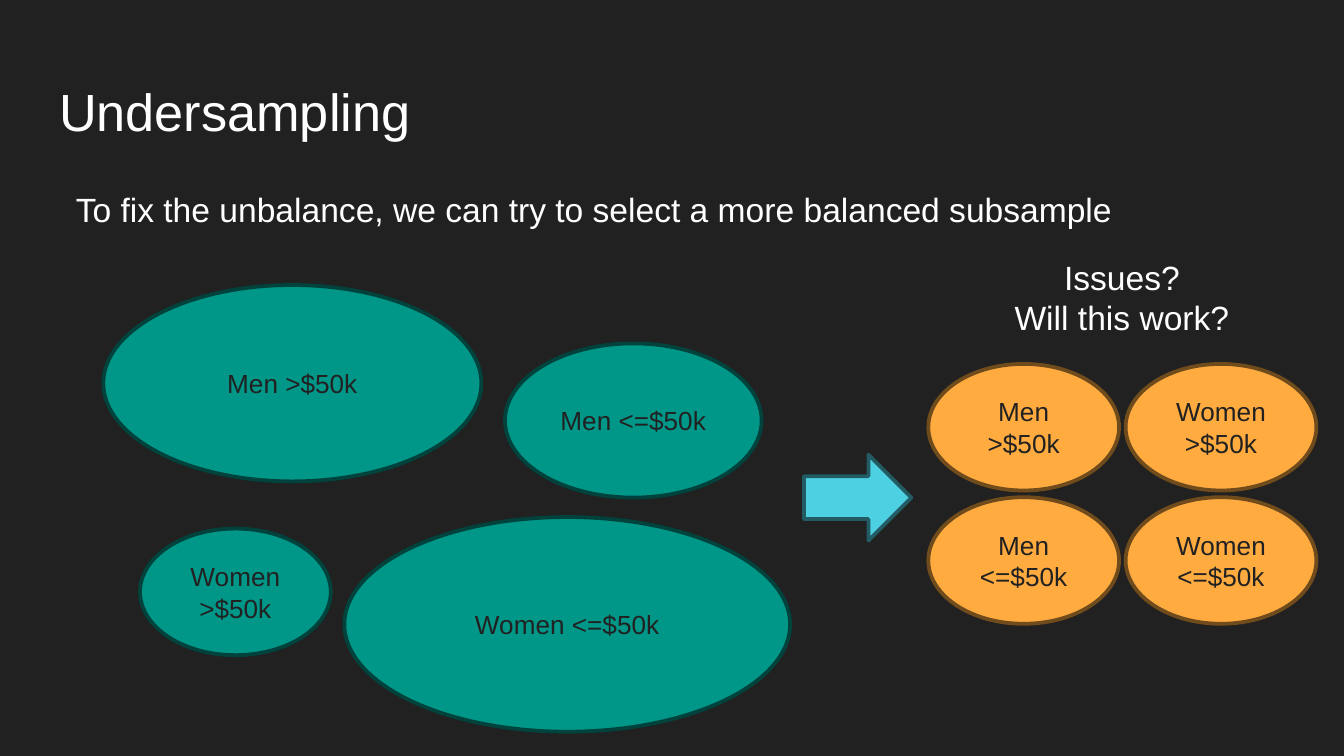
"""Build the Undersampling slide: four uneven groups reduced to a balanced subsample."""
from typing import NamedTuple

import pptx
import pptx.dml.color
import pptx.enum.shapes
import pptx.enum.text
import pptx.util

Pt = pptx.util.Pt
SHAPE = pptx.enum.shapes.MSO_SHAPE
ALIGN = pptx.enum.text.PP_ALIGN
ANCHOR = pptx.enum.text.MSO_ANCHOR

DARK, WHITE = "212121", "FFFFFF"
TEAL, TEAL_EDGE = "009688", "00423C"
ORANGE, ORANGE_EDGE = "FFAB40", "704B1C"
CYAN, CYAN_EDGE = "4DD0E1", "225B63"


class Box(NamedTuple):
    left: float
    top: float
    width: float
    height: float


class Group(NamedTuple):
    label: str
    box: Box
    fill: str
    edge: str


def rgb(color: str) -> pptx.dml.color.RGBColor:
    return pptx.dml.color.RGBColor.from_string(color)


def write(sp, text: str, *, size: float, color: str, align=ALIGN.LEFT, anchor=ANCHOR.TOP,
          inset: float = 3.6, indent: float = 0, spacing: float = 1.0) -> None:
    tf = sp.text_frame
    tf.word_wrap = True
    tf.auto_size = pptx.enum.text.MSO_AUTO_SIZE.NONE
    tf.vertical_anchor = anchor
    tf.margin_left = tf.margin_right = Pt(7.2)
    tf.margin_top = tf.margin_bottom = Pt(inset)
    tf.text = text
    for p in tf.paragraphs:
        p.alignment = align
        p.line_spacing = spacing
        if indent:
            p._p.get_or_add_pPr().set("marL", str(Pt(indent)))
        for r in p.runs:
            r.font.name = "Arial"
            r.font.size = Pt(size)
            r.font.color.rgb = rgb(color)


def add_text(s, box: Box, text: str, **fmt) -> None:
    write(s.shapes.add_textbox(*map(Pt, box)), text, **fmt)


def add_shape(s, kind, box: Box, fill: str, edge: str):
    sp = s.shapes.add_shape(kind, *map(Pt, box))
    sp.shadow.inherit = False
    sp.fill.solid()
    sp.fill.fore_color.rgb = rgb(fill)
    sp.line.color.rgb = rgb(edge)
    sp.line.width = Pt(2)
    return sp


def add_group(s, group: Group) -> None:
    sp = add_shape(s, SHAPE.OVAL, group.box, group.fill, group.edge)
    write(sp, group.label, size=14, color=DARK, align=ALIGN.CENTER, anchor=ANCHOR.MIDDLE)


def main() -> None:
    prs = pptx.Presentation()
    prs.slide_width, prs.slide_height = Pt(720), Pt(405)
    s = prs.slides.add_slide(prs.slide_layouts[5])
    s.background.fill.solid()
    s.background.fill.fore_color.rgb = rgb(DARK)

    title = s.shapes.title
    title.left, title.top, title.width, title.height = map(Pt, Box(24.5, 35.3, 671, 45.1))
    write(title, "Undersampling", size=28, color=WHITE, inset=7.2)
    add_text(s, Box(24.5, 90.7, 671, 269.1),
             "To fix the unbalance, we can try to select a more balanced subsample",
             size=18, color=WHITE, inset=7.2, indent=9, spacing=1.15)

    sample = {
        "Men >$50k": Box(55.4, 152.7, 202.5, 105.2),
        "Men <=$50k": Box(270.5, 184, 137.5, 82.6),
        "Women >$50k": Box(75, 283.2, 102.2, 67.8),
        "Women <=$50k": Box(184.5, 277, 238.8, 115),
    }
    for label, box in sample.items():
        add_group(s, Group(label, box, TEAL, TEAL_EDGE))

    add_shape(s, SHAPE.RIGHT_ARROW, Box(430.7, 243.6, 57.6, 46), CYAN, CYAN_EDGE)

    for col, who in enumerate(("Men", "Women")):
        for row, income in enumerate((">$50k", "<=$50k")):
            box = Box(497.3 + 105.7 * col, 195 + 71.4 * row, 102.2, 67.8)
            add_group(s, Group(f"{who} {income}", box, ORANGE, ORANGE_EDGE))

    add_text(s, Box(497.3, 134, 207.4, 51), "Issues?\nWill this work?",
             size=18, color=WHITE, align=ALIGN.CENTER)
    prs.save("out.pptx")


if __name__ == "__main__":
    main()
